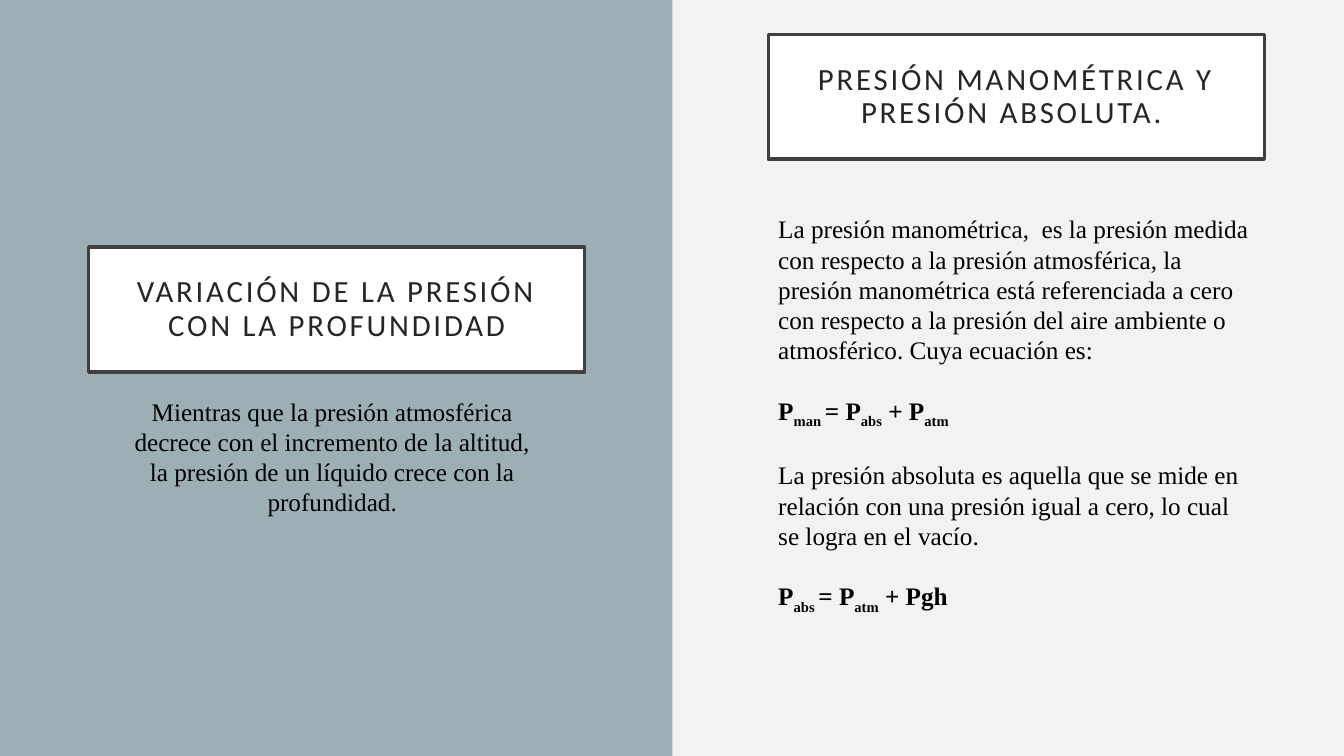
import pptx
import pptx.util
import pptx.dml.color
import pptx.enum.shapes
import pptx.enum.text

Inches, Pt = pptx.util.Inches, pptx.util.Pt
RGBColor = pptx.dml.color.RGBColor
ALIGN = pptx.enum.text.PP_ALIGN
ANCHOR = pptx.enum.text.MSO_ANCHOR

PALE_GREY = RGBColor(0xF2, 0xF2, 0xF2)
BLUE_GREY = RGBColor(0x9B, 0xAF, 0xB5)
WHITE = RGBColor(0xFF, 0xFF, 0xFF)
FRAME = RGBColor(0x40, 0x40, 0x40)
TITLE_INK = RGBColor(0x26, 0x26, 0x26)
BLACK = RGBColor(0, 0, 0)

EQUATION_GAP = 21.6


def add_text(p, text, size=18, font="Times New Roman", color=BLACK,
             bold=False, tracking=0, baseline=0):
    """Add a run; tracking is in points, baseline in percent."""
    r = p.add_run()
    r.text = text
    r.font.size = Pt(size)
    r.font.name = font
    r.font.color.rgb = color
    r.font.bold = bold
    r_pr = r._r.get_or_add_rPr()
    if tracking:
        r_pr.set("spc", str(tracking * 100))
    if baseline:
        r_pr.set("baseline", str(baseline * 1000))


def add_box(slide, left, top, width, height, fill, line=None):
    sp = slide.shapes.add_shape(
        pptx.enum.shapes.MSO_SHAPE.RECTANGLE,
        Inches(left), Inches(top), Inches(width), Inches(height))
    sp.shadow.inherit = False
    sp.fill.solid()
    sp.fill.fore_color.rgb = fill
    if line is None:
        sp.line.fill.background()
    else:
        sp.line.color.rgb = line
        sp.line.width = Pt(2.5)
    return sp


def add_title(slide, left, top, text):
    tf = add_box(slide, left, top, 4.92, 1.24, WHITE, FRAME).text_frame
    tf.word_wrap = True
    tf.vertical_anchor = ANCHOR.MIDDLE
    tf.margin_left = tf.margin_right = Inches(0.2)
    tf.margin_top = tf.margin_bottom = Inches(0.2)
    p = tf.paragraphs[0]
    p.alignment = ALIGN.CENTER
    p.line_spacing = 0.9
    add_text(p, text, size=22, font="Calibri", color=TITLE_INK, tracking=2)


def add_body(slide, left, top, width, height):
    tf = slide.shapes.add_textbox(
        Inches(left), Inches(top), Inches(width), Inches(height)).text_frame
    tf.word_wrap = True
    return tf


def add_equation(tf, *terms):
    """Add a bold line of (text, subscript) terms."""
    p = tf.add_paragraph()
    p.space_before = Pt(EQUATION_GAP)
    for text, subscript in terms:
        add_text(p, text, bold=True)
        if subscript:
            add_text(p, subscript, bold=True, baseline=-25)


def main():
    prs = pptx.Presentation()
    prs.slide_width, prs.slide_height = Inches(13.33), Inches(7.5)
    slide = prs.slides.add_slide(prs.slide_layouts[6])
    slide.background.fill.solid()
    slide.background.fill.fore_color.rgb = PALE_GREY

    # Left half: pressure and depth
    add_box(slide, 0, 0, 6.67, 7.5, BLUE_GREY)
    add_title(slide, 0.88, 2.45, "VARIACIÓN DE LA PRESIÓN CON LA PROFUNDIDAD")
    p = add_body(slide, 1.22, 3.88, 4.15, 2.4).paragraphs[0]
    p.alignment = ALIGN.CENTER
    p.space_before = Pt(10)
    add_text(p, "Mientras que la presión atmosférica decrece con el incremento "
                "de la altitud, la presión de un líquido crece con la "
                "profundidad.")

    # Right half: gauge and absolute pressure
    add_title(slide, 7.62, 0.34, "PRESIÓN MANOMÉTRICA Y PRESIÓN ABSOLUTA. ")
    tf = add_body(slide, 7.62, 2.07, 4.92, 4.34)
    add_text(tf.paragraphs[0],
             "La presión manométrica,  es la presión medida con respecto a la "
             "presión atmosférica, la presión manométrica está referenciada a "
             "cero con respecto a la presión del aire ambiente o atmosférico. "
             "Cuya ecuación es:")
    add_equation(tf, ("P", "man "), ("= P", "abs"), (" + P", "atm"))
    p = tf.add_paragraph()
    p.space_before = Pt(EQUATION_GAP)
    add_text(p, "La presión absoluta es aquella que se mide en relación con "
                "una presión igual a cero, lo cual se logra en el vacío.")
    add_equation(tf, ("P", "abs "), ("= P", "atm"), (" + Pgh", ""))

    prs.save("out.pptx")


if __name__ == "__main__":
    main()
